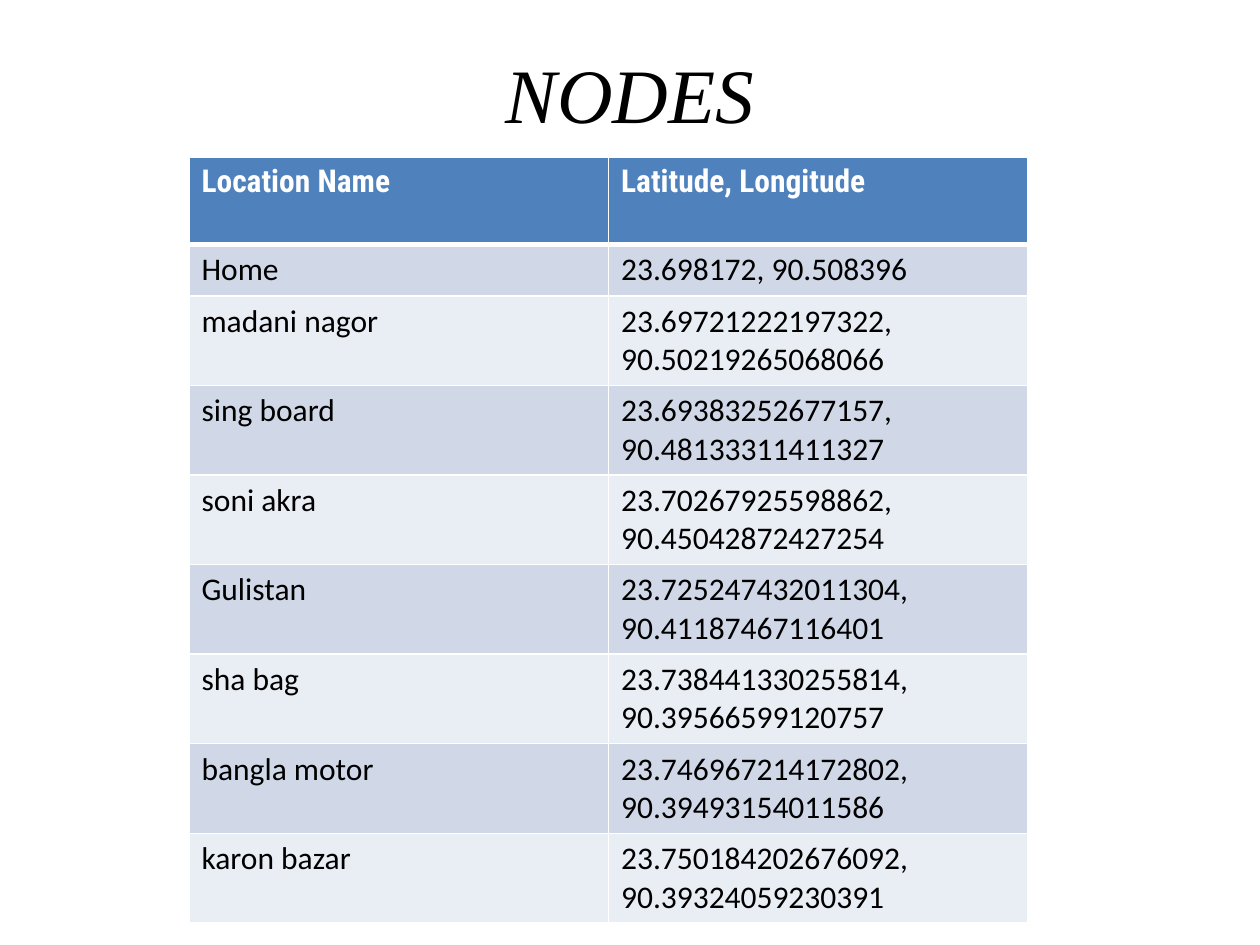
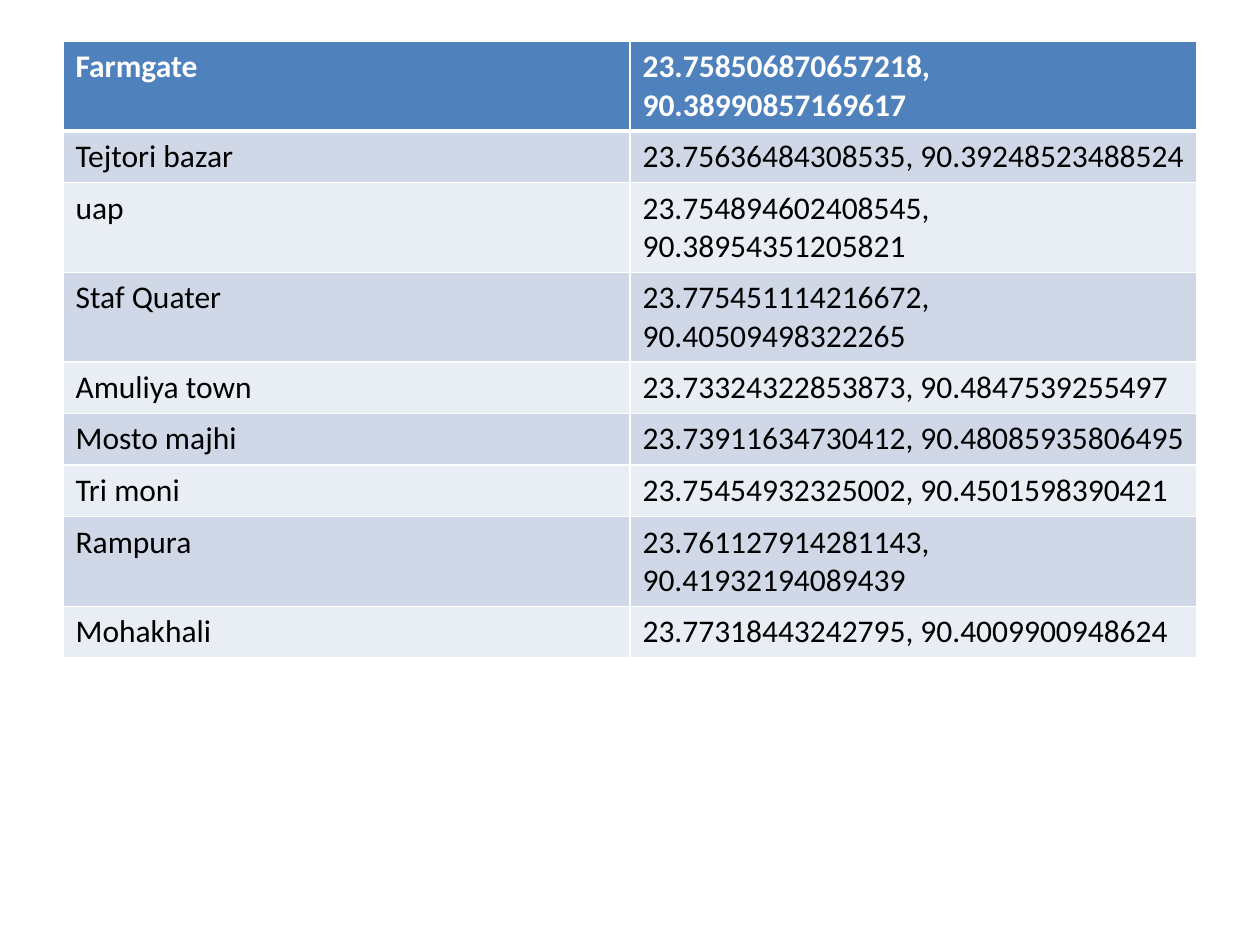
from dataclasses import dataclass

from lxml.etree import SubElement
from pptx import Presentation
from pptx.dml.color import RGBColor
from pptx.enum.text import MSO_ANCHOR, PP_ALIGN
from pptx.oxml.ns import qn
from pptx.slide import Slide
from pptx.table import _Cell as Cell
from pptx.text.text import TextFrame
from pptx.util import Inches, Pt

WHITE, BLACK, BLUE = "FFFFFF", "000000", "4F81BD"
BANDS = ("D0D8E8", "E9EDF4")
TITLE_ONLY, BLANK = 5, 6
ONE_LINE, TWO_LINES = 0.41, 0.71


@dataclass
class NodeTable:
    left: float
    top: float
    col_width: float
    line_chars: int  # characters that fit on one line of a cell
    header_height: float
    header_font: str
    rows: list[tuple[str, str]]


NODES = NodeTable(1.5, 1.25, 3.33, 24, 0.69, "Roboto Condensed", [
    ("Location Name", "Latitude, Longitude"),
    ("Home", "23.698172, 90.508396"),
    ("madani nagor", "23.69721222197322, 90.50219265068066"),
    ("sing board", "23.69383252677157, 90.48133311411327"),
    ("soni akra", "23.70267925598862, 90.45042872427254"),
    ("Gulistan", "23.725247432011304, 90.41187467116401"),
    ("sha bag", "23.738441330255814, 90.39566599120757"),
    ("bangla motor", "23.746967214172802, 90.39493154011586"),
    ("karon bazar", "23.750184202676092, 90.39324059230391"),
])

MORE_NODES = NodeTable(0.5, 0.33, 4.5, 36, 0.7, "Calibri", [
    ("Farmgate", "23.758506870657218, 90.38990857169617"),
    ("Tejtori bazar", "23.75636484308535, 90.39248523488524"),
    ("uap", "23.754894602408545, 90.38954351205821"),
    ("Staf Quater", "23.775451114216672, 90.40509498322265"),
    ("Amuliya town", "23.73324322853873, 90.4847539255497"),
    ("Mosto majhi", "23.73911634730412, 90.48085935806495"),
    ("Tri moni", "23.75454932325002, 90.4501598390421"),
    ("Rampura", "23.761127914281143, 90.41932194089439"),
    ("Mohakhali", "23.77318443242795, 90.4009900948624"),
])


def rgb(color: str) -> RGBColor:
    return RGBColor.from_string(color)


def write(tf: TextFrame, text: str, *, size: float = 18, font: str = "Calibri",
          color: str = BLACK, bold: bool = False, italic: bool = False,
          align: PP_ALIGN = PP_ALIGN.LEFT) -> None:
    p = tf.paragraphs[0]
    p.alignment = align
    r = p.add_run()
    r.text = text
    r.font.size, r.font.name = Pt(size), font
    r.font.bold, r.font.italic = bold, italic
    r.font.color.rgb = rgb(color)


def add_borders(cell: Cell, bottom: float = 1) -> None:
    """Draw white borders; call before filling, as lines precede the fill."""
    tc_pr = cell._tc.get_or_add_tcPr()
    for side, width in (("L", 1), ("R", 1), ("T", 1), ("B", bottom)):
        ln = SubElement(tc_pr, qn(f"a:ln{side}"), w=str(Pt(width)))
        fill = SubElement(ln, qn("a:solidFill"))
        SubElement(fill, qn("a:srgbClr"), val=WHITE)


def add_title(s: Slide, text: str) -> None:
    title = s.shapes.title
    title.left, title.top = Inches(0.5), Inches(0.3)
    title.width, title.height = Inches(9), Inches(0.87)
    title.text_frame.vertical_anchor = MSO_ANCHOR.MIDDLE
    write(title.text_frame, text, size=44, font="Times New Roman",
          italic=True, align=PP_ALIGN.CENTER)


def add_node_table(s: Slide, spec: NodeTable) -> None:
    heights = [spec.header_height] + [
        ONE_LINE if len(position) <= spec.line_chars else TWO_LINES
        for _, position in spec.rows[1:]]
    table = s.shapes.add_table(
        len(spec.rows), 2, Inches(spec.left), Inches(spec.top),
        Inches(2 * spec.col_width), Inches(sum(heights))).table
    for col in table.columns:
        col.width = Inches(spec.col_width)
    for i, (texts, height) in enumerate(zip(spec.rows, heights)):
        table.rows[i].height = Inches(height)
        header = i == 0
        for j, text in enumerate(texts):
            cell = table.cell(i, j)
            add_borders(cell, bottom=3 if header else 1)
            cell.fill.solid()
            cell.fill.fore_color.rgb = rgb(BLUE if header else BANDS[(i - 1) % 2])
            write(cell.text_frame, text, bold=header,
                  font=spec.header_font if header else "Calibri",
                  color=WHITE if header else BLACK)


def main() -> None:
    prs = Presentation()
    prs.slide_width, prs.slide_height = Inches(10), Inches(7.5)

    s = prs.slides.add_slide(prs.slide_layouts[TITLE_ONLY])
    add_title(s, "NODES")
    add_node_table(s, NODES)

    s = prs.slides.add_slide(prs.slide_layouts[BLANK])
    add_node_table(s, MORE_NODES)

    prs.save("out.pptx")


if __name__ == "__main__":
    main()
